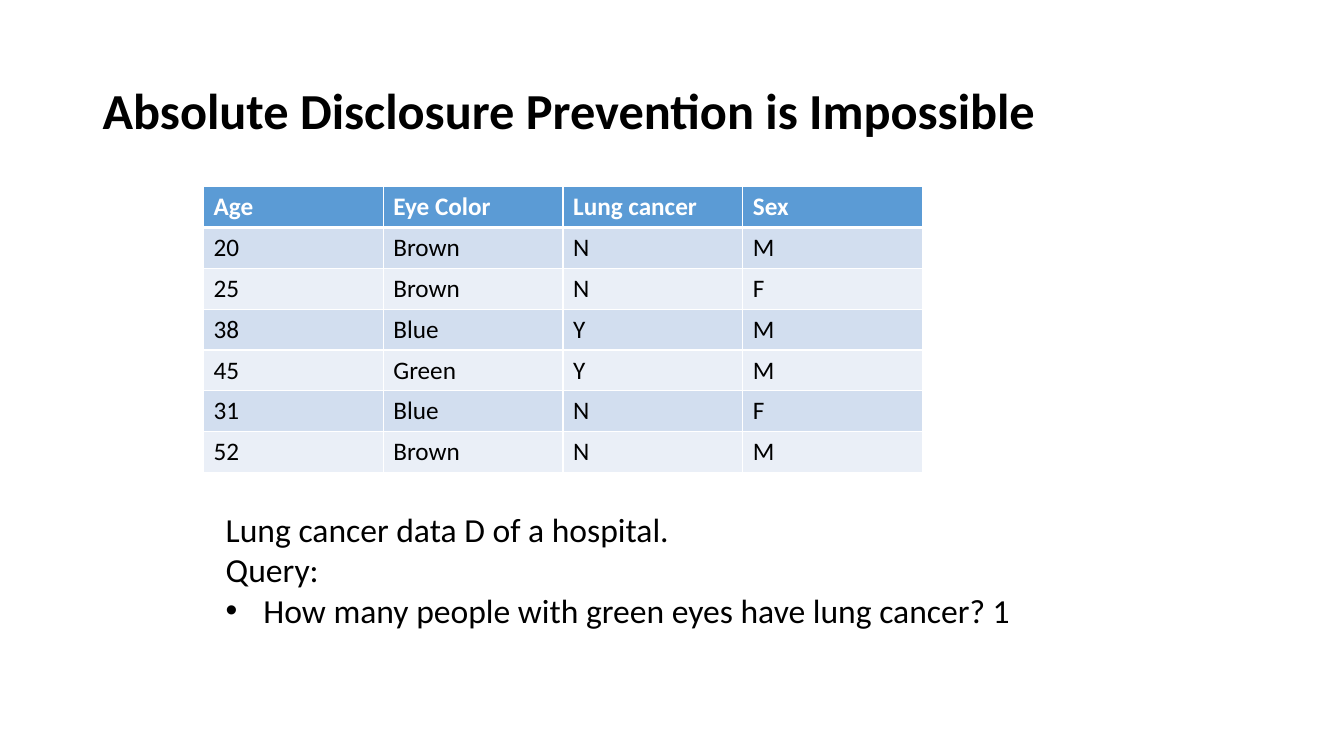
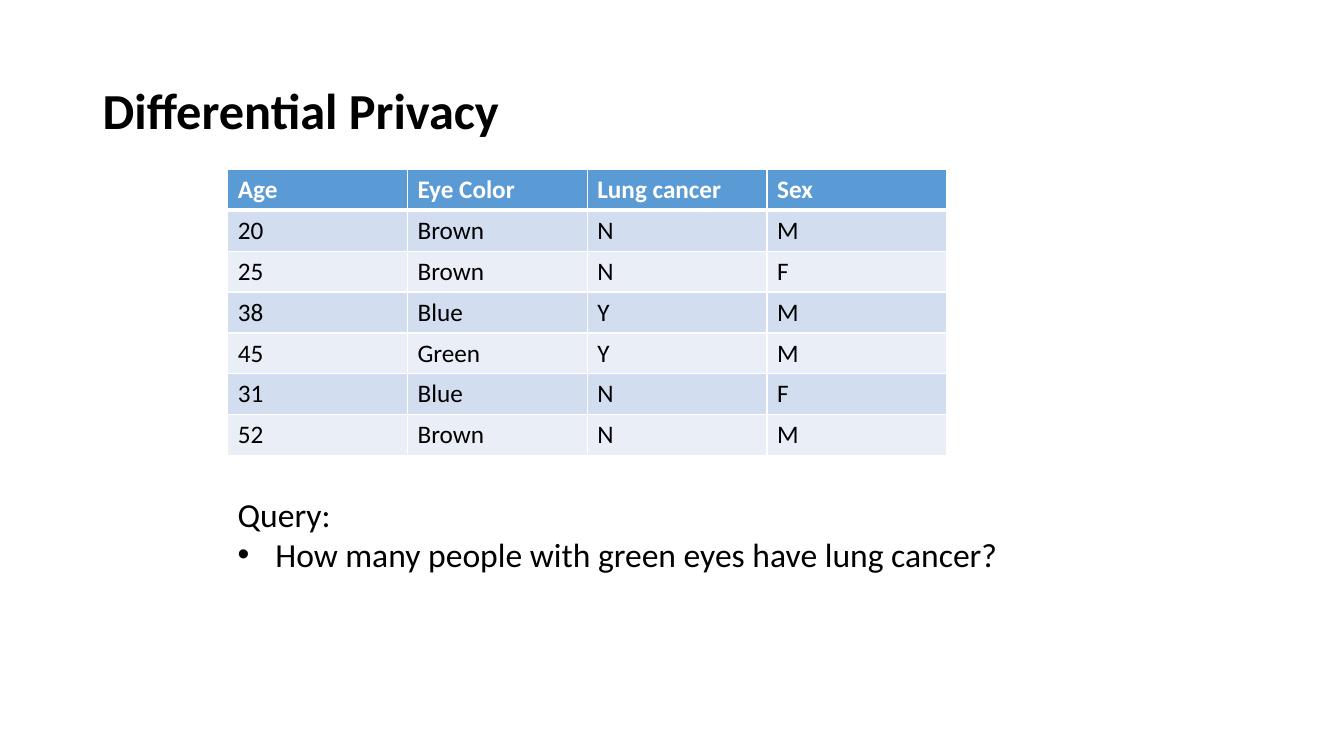
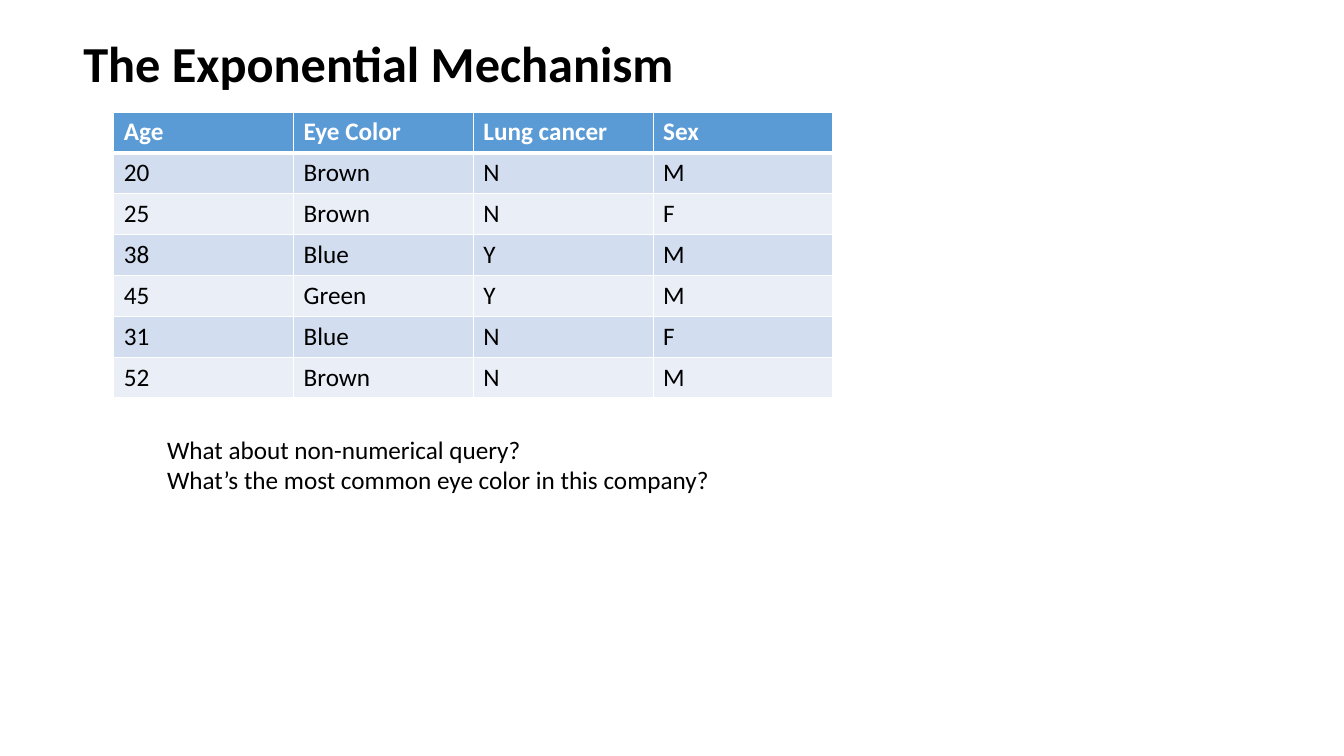
from dataclasses import dataclass

from lxml.etree import SubElement
from pptx import Presentation
from pptx.dml.color import RGBColor
from pptx.enum.text import MSO_ANCHOR
from pptx.oxml.ns import qn
from pptx.util import Cm, Pt

FONT = "Calibri"
BLACK, WHITE, BLUE = "000000", "FFFFFF", "5B9BD5"
BANDS = ("EAEFF7", "D2DEEF")
COL, ROW = 4.53, 1.03
INDENT = 0.95
DATA = (
    ("Age", "Eye Color", "Lung cancer", "Sex"),
    ("20", "Brown", "N", "M"),
    ("25", "Brown", "N", "F"),
    ("38", "Blue", "Y", "M"),
    ("45", "Green", "Y", "M"),
    ("31", "Blue", "N", "F"),
    ("52", "Brown", "N", "M"),
)


@dataclass(frozen=True)
class Box:
    left: float
    top: float
    width: float
    height: float


@dataclass(frozen=True)
class Note:
    box: Box
    size: int
    lines: tuple[str, ...]
    points: tuple[str, ...] = ()
    wrap: bool = True


@dataclass(frozen=True)
class Page:
    title: str
    head: Box
    grid: tuple[float, float]
    note: Note


HEAD = Box(2.34, 1.02, 29.21, 3.68)
PAGES = (
    Page("Absolute Disclosure Prevention is Impossible", HEAD, (5.13, 4.7),
         Note(Box(5.44, 12.7, 20.85, 3.33), 24,
              ("Lung cancer data D of a hospital.", "Query:"),
              ("How many people with green eyes have lung cancer? 1",))),
    Page("Differential Privacy", HEAD, (5.74, 4.27),
         Note(Box(5.74, 12.32, 19.76, 2.31), 24, ("Query:",),
              ("How many people with green eyes have lung cancer?",))),
    Page("The Exponential Mechanism", Box(1.85, 0.53, 29.21, 2.29), (2.87, 2.82),
         Note(Box(3.96, 10.82, 14.48, 1.8), 18,
              ("What about non-numerical query?",
               "What’s the most common eye color in this company?"), wrap=False)),
)


def color(code: str) -> RGBColor:
    """Turn a hex string into a colour."""
    return RGBColor.from_string(code)


def style(para, size: int, code: str = BLACK, bold: bool = False) -> None:
    """Set the font of a whole paragraph."""
    font = para.font
    font.name, font.size, font.bold = FONT, Pt(size), bold
    font.color.rgb = color(code)


def add_frame(slide, box: Box, wrap: bool = True):
    """Add a text box and return its text frame."""
    sides = (box.left, box.top, box.width, box.height)
    frame = slide.shapes.add_textbox(*map(Cm, sides)).text_frame
    frame.word_wrap = wrap
    return frame


def add_title(slide, text: str, box: Box) -> None:
    """Write the bold slide title."""
    frame = add_frame(slide, box)
    frame.vertical_anchor = MSO_ANCHOR.MIDDLE
    para = frame.paragraphs[0]
    para.text, para.line_spacing = text, 0.9
    style(para, 36, bold=True)


def add_edge(cell, side: str, width: int) -> None:
    """Draw one white border of a cell."""
    line = SubElement(cell._tc.get_or_add_tcPr(), qn(f"a:ln{side}"), w=str(Pt(width)))
    fill = SubElement(line, qn("a:solidFill"))
    SubElement(fill, qn("a:srgbClr"), val=WHITE)


def add_grid(slide, left: float, top: float) -> None:
    """Add the patient table with its banded rows."""
    rows, cols = len(DATA), len(DATA[0])
    table = slide.shapes.add_table(
        rows, cols, Cm(left), Cm(top), Cm(cols * COL), Cm(rows * ROW)).table
    for col in table.columns:
        col.width = Cm(COL)
    for i, row in enumerate(DATA):
        table.rows[i].height = Cm(ROW)
        head = i == 0
        for j, text in enumerate(row):
            cell = table.cell(i, j)
            cell.text = text
            style(cell.text_frame.paragraphs[0], 18, WHITE if head else BLACK, head)
            edges = {"L": 1, "R": 1, "T": 3 if i == 1 else 1, "B": 3 if head else 1}
            for side, width in edges.items():
                add_edge(cell, side, width)
            cell.fill.solid()
            cell.fill.fore_color.rgb = color(BLUE if head else BANDS[i % 2])


def add_bullet(para) -> None:
    """Give a paragraph a bullet and a hanging indent."""
    props = para._p.get_or_add_pPr()
    props.set("marL", str(Cm(INDENT)))
    props.set("indent", str(-Cm(INDENT)))
    SubElement(props, qn("a:buFont"), typeface="Arial")
    SubElement(props, qn("a:buChar"), char="•")


def add_note(slide, note: Note) -> None:
    """Write the lines and bullet points under the table."""
    frame = add_frame(slide, note.box, note.wrap)
    frame.text = "\n".join(note.lines + note.points)
    for i, para in enumerate(frame.paragraphs):
        if i >= len(note.lines):
            add_bullet(para)
        style(para, note.size)


def main() -> None:
    """Build and save the slides."""
    deck = Presentation()
    deck.slide_width, deck.slide_height = Cm(33.87), Cm(19.05)
    for page in PAGES:
        slide = deck.slides.add_slide(deck.slide_layouts[6])
        add_title(slide, page.title, page.head)
        add_grid(slide, *page.grid)
        add_note(slide, page.note)
    deck.save("out.pptx")


if __name__ == "__main__":
    main()
